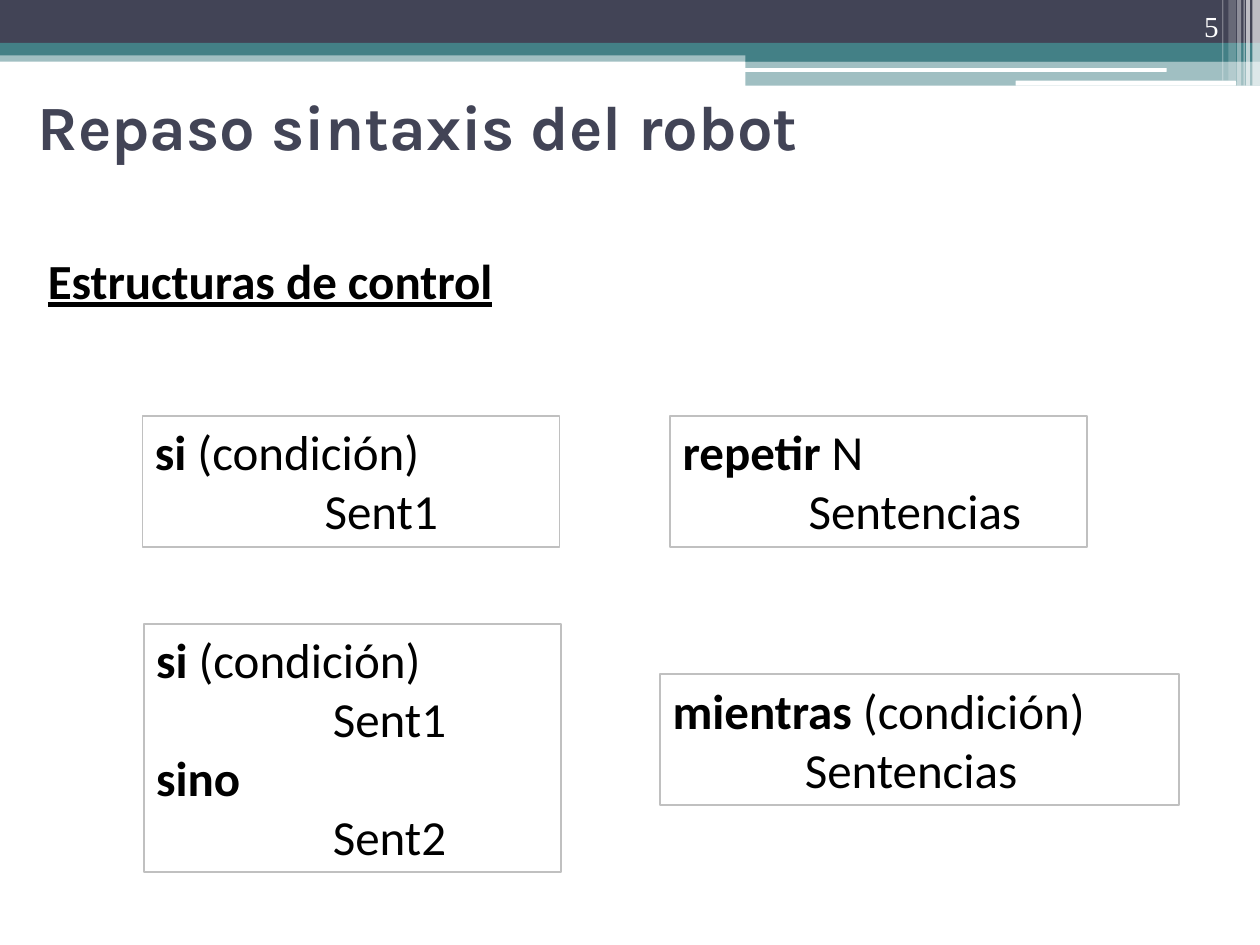
from typing import NamedTuple, Optional

import pptx
import pptx.dml.color
import pptx.enum.shapes
import pptx.enum.text
import pptx.oxml.ns
import pptx.util
from lxml import etree

Pt = pptx.util.Pt
SHAPE = pptx.enum.shapes.MSO_SHAPE
ALIGN = pptx.enum.text.PP_ALIGN
ANCHOR = pptx.enum.text.MSO_ANCHOR

SLATE, TEAL, WHITE, BLACK, SILVER = "424456", "438086", "FFFFFF", "000000", "C0C0C0"


class Bar(NamedTuple):
    left: float
    top: float
    width: float
    height: float
    color: str
    opacity: int = 100
    rounded: bool = False


class Line(NamedTuple):
    keyword: str = ""
    rest: str = ""
    indent: float = 0


class CodeBox(NamedTuple):
    left: float
    top: float
    width: float
    height: float
    lines: tuple[Line, ...]


BARS = (
    Bar(0, 28.8, 720, 6.5, TEAL, 50),
    Bar(0, 0, 720, 24.5, SLATE),
    Bar(0, 24.5, 720, 7.2, TEAL),
    Bar(426, 28.1, 294, 7.2, TEAL),
    Bar(426, 34.6, 294, 14.4, TEAL, 50),
    Bar(425.5, 38.9, 241.2, 2.2, WHITE, rounded=True),
    Bar(580.3, 46.1, 126, 2.9, WHITE, rounded=True),
    # Pale stripes at the right end
    Bar(715.7, 0, 4.3, 49, WHITE, 65),
    Bar(712.1, 0, 2.2, 49, WHITE, 65),
    Bar(710.6, 0, 0.7, 49, WHITE, 60),
    Bar(707, 0, 2.2, 49, WHITE, 40),
    Bar(702, 0, 4.3, 46.1, WHITE, 20),
    Bar(698.4, 0, 0.7, 46.1, WHITE, 30),
)

CODE_BOXES = (
    CodeBox(81.4, 237.6, 238.3, 74.9,
            (Line("si", " (condición)"), Line(rest="Sent1", indent=97))),
    CodeBox(82.1, 356.4, 238.3, 141.8,
            (Line("si", " (condición)"), Line(rest="Sent1", indent=101),
             Line("sino"), Line(rest="Sent2", indent=101))),
    CodeBox(383, 237.6, 238.3, 74.9,
            (Line("repetir", " N"), Line(rest="Sentencias", indent=72))),
    CodeBox(377.3, 385.2, 296.6, 74.9,
            (Line("mientras", " (condición)"), Line(rest="Sentencias", indent=75.5))),
)


def rgb(color: str) -> pptx.dml.color.RGBColor:
    return pptx.dml.color.RGBColor.from_string(color)


def add_span(para, text: str, *, size: float = 28, font: str = "Calibri",
             color: str = BLACK, bold: bool = False, underline: Optional[bool] = None) -> None:
    span = para.add_run()
    span.text = text
    span.font.size = Pt(size)
    span.font.name = font
    span.font.color.rgb = rgb(color)
    span.font.bold = bold
    span.font.underline = underline


def add_label(slide, text: str, left: float, top: float, width: float, height: float, *,
              anchor=ANCHOR.TOP, align=ALIGN.LEFT, spacing: float = 1.0,
              wrap: bool = True, **span_format) -> None:
    box = slide.shapes.add_textbox(Pt(left), Pt(top), Pt(width), Pt(height))
    box.text_frame.word_wrap = wrap
    box.text_frame.vertical_anchor = anchor
    para = box.text_frame.paragraphs[0]
    para.alignment = align
    para.line_spacing = spacing
    add_span(para, text, **span_format)


def add_bar(slide, bar: Bar) -> None:
    kind = SHAPE.ROUNDED_RECTANGLE if bar.rounded else SHAPE.RECTANGLE
    shape = slide.shapes.add_shape(kind, Pt(bar.left), Pt(bar.top), Pt(bar.width), Pt(bar.height))
    shape.shadow.inherit = False
    shape.line.fill.background()
    shape.fill.solid()
    shape.fill.fore_color.rgb = rgb(bar.color)
    if bar.opacity < 100:
        color = shape.fill._xPr.find(".//" + pptx.oxml.ns.qn("a:srgbClr"))
        etree.SubElement(color, pptx.oxml.ns.qn("a:alpha"), val=str(bar.opacity * 1000))


def add_code_box(slide, code: CodeBox) -> None:
    shape = slide.shapes.add_shape(SHAPE.RECTANGLE, Pt(code.left), Pt(code.top),
                                   Pt(code.width), Pt(code.height))
    shape.shadow.inherit = False
    shape.fill.background()
    shape.line.color.rgb = rgb(SILVER)
    shape.line.width = Pt(1)
    frame = shape.text_frame
    frame.word_wrap = True
    frame.vertical_anchor = ANCHOR.TOP
    frame.auto_size = pptx.enum.text.MSO_AUTO_SIZE.SHAPE_TO_FIT_TEXT
    for index, line in enumerate(code.lines):
        para = frame.add_paragraph() if index else frame.paragraphs[0]
        para.alignment = ALIGN.LEFT
        if line.indent:
            para._p.get_or_add_pPr().set("marL", str(Pt(line.indent)))
        if line.keyword:
            add_span(para, line.keyword, bold=True)
        if line.rest:
            add_span(para, line.rest)


def main() -> None:
    deck = pptx.Presentation()
    deck.slide_width, deck.slide_height = Pt(720), Pt(540)
    slide = deck.slides.add_slide(deck.slide_layouts[6])

    # Header band
    for bar in BARS:
        add_bar(slide, bar)

    # Title and slide number
    add_label(slide, "Repaso sintaxis del robot", 14.4, 26.6, 612, 90, anchor=ANCHOR.MIDDLE,
              size=36, font="Karla", color=SLATE, bold=True)
    add_label(slide, "5", 643.7, 0, 59.8, 28.8, anchor=ANCHOR.BOTTOM, align=ALIGN.RIGHT,
              spacing=0.9, size=16.6, font="Times New Roman", color=WHITE)

    # Control structures
    for code in CODE_BOXES:
        add_code_box(slide, code)
    add_label(slide, "Estructuras de control", 20.2, 139.7, 270, 41, wrap=False,
              bold=True, underline=True)

    deck.save("out.pptx")


if __name__ == "__main__":
    main()
